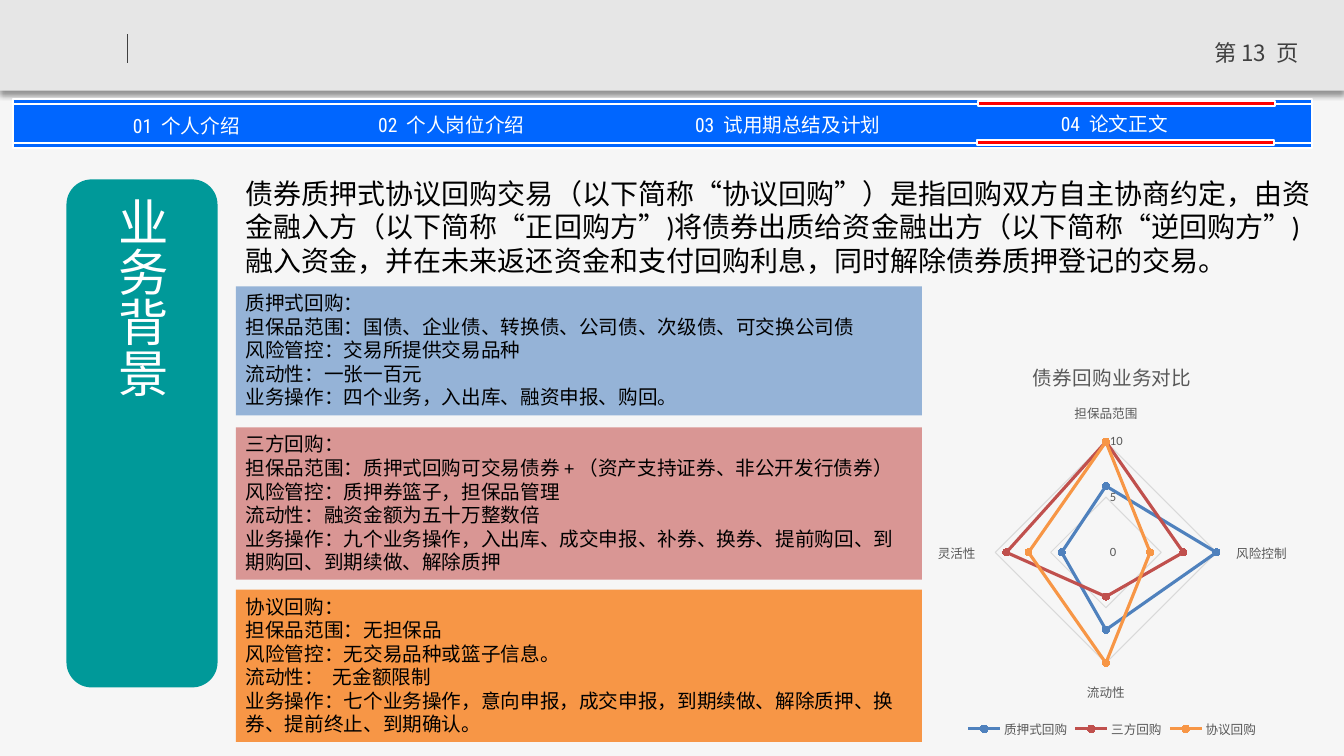
import pptx
import pptx.util
import pptx.dml.color
import pptx.chart.data
import pptx.enum.chart
import pptx.enum.shapes
import pptx.enum.text
import pptx.oxml
import pptx.oxml.ns

PX = 9144  # 100 px to the inch
SHAPE = pptx.enum.shapes.MSO_SHAPE
ALIGN = pptx.enum.text.PP_ALIGN
MIDDLE = pptx.enum.text.MSO_ANCHOR.MIDDLE
Pt = pptx.util.Pt
color = pptx.dml.color.RGBColor.from_string

deck = pptx.Presentation()
deck.slide_width, deck.slide_height = 1334 * PX, 750 * PX
slide = deck.slides.add_slide(deck.slide_layouts[6])
slide.background.fill.solid()
slide.background.fill.fore_color.rgb = color("F6F6F6")


def block(kind, area, fill, edge=None):
    shape = slide.shapes.add_shape(kind, *[n * PX for n in area])
    shape.shadow.inherit = False
    shape.fill.solid()
    shape.fill.fore_color.rgb = color(fill)
    if edge:
        shape.line.color.rgb = color(edge)
        shape.line.width = Pt(1.5)
    else:
        shape.line.fill.background()
    return shape


def write(shape, lines, size, ink, font="Calibri", align=ALIGN.LEFT):
    frame = shape.text_frame
    frame.word_wrap = True
    frame.text = "\n".join(lines)
    for para in frame.paragraphs:
        para.alignment = align
        para.font.size = Pt(size)
        para.font.name = font
        para.font.color.rgb = color(ink)
    return frame


# Header band with a soft shadow
band = block(SHAPE.RECTANGLE, (0, 0, 1334, 90), "E6E6E6")
glow = pptx.oxml.parse_xml(
    '<a:outerShdw xmlns:a="http://schemas.openxmlformats.org/drawingml/2006/main" '
    'blurRad="50800" dist="38100" dir="5400000" algn="t" rotWithShape="0">'
    '<a:srgbClr val="000000"><a:alpha val="40000"/></a:srgbClr></a:outerShdw>')
band._element.spPr.find(pptx.oxml.ns.qn("a:effectLst")).append(glow)

rule = slide.shapes.add_connector(
    pptx.enum.shapes.MSO_CONNECTOR.STRAIGHT, 127 * PX, 34 * PX, 127 * PX, 63 * PX)
rule.line.color.rgb = color("404040")
rule.line.width = Pt(0.75)
rule._element.spPr.append(pptx.oxml.parse_xml(
    '<a:effectLst xmlns:a="http://schemas.openxmlformats.org/drawingml/2006/main"/>'))

page = slide.shapes.add_textbox(1187 * PX, 34 * PX, 120 * PX, 40 * PX)
write(page, ["第 13  页"], 16, "404040", "Noto Sans CJK SC", ALIGN.CENTER)

# Navigation bar
for top, high in ((103, 43), (142, 5), (98, 5)):
    block(SHAPE.RECTANGLE, (13, top, 1289, high), "0066FF", "FFFFFF")
tabs = [
    (61, 113, "01  个人介绍"),
    (324, 112, "02  个人岗位介绍"),
    (658, 112, "03  试用期总结及计划"),
    (982, 111, "04  论文正文"),
]
for left, top, label in tabs:
    tab = slide.shapes.add_textbox(left * PX, top * PX, 248 * PX, 24 * PX)
    frame = write(tab, [label], 14, "FFFFFF", "Roboto Condensed", ALIGN.CENTER)
    frame.vertical_anchor = MIDDLE
    frame.margin_left = frame.margin_right = 0
    frame.margin_top = frame.margin_bottom = 0

# Red marks on the current tab
for left, top in ((971, 100), (970, 139)):
    block(SHAPE.RECTANGLE, (left, top, 295, 5), "FF0000", "FFFFFF")

# Vertical heading
head = block(SHAPE.ROUNDED_RECTANGLE, (66, 178, 150, 504), "009999")
frame = write(head, ["业务背景"], 36, "FFFFFF")
frame.vertical_anchor = MIDDLE
frame._txBody.bodyPr.set("vert", "eaVert")

# Definition
intro = slide.shapes.add_textbox(234 * PX, 170 * PX, 1079 * PX, 111 * PX)
write(intro, [
    "债券质押式协议回购交易（以下简称“协议回购”）是指回购双方自主协商约定，"
    "由资金融入方（以下简称“正回购方”)将债券出质给资金融出方（以下简称“逆回购方”)"
    "融入资金，并在未来返还资金和支付回购利息，同时解除债券质押登记的交易。"], 20, "000000")

# Radar chart, partly behind the cards
data = pptx.chart.data.CategoryChartData()
data.categories = ["担保品范围", "风险控制", "流动性", "灵活性"]
data.add_series("质押式回购", (6, 10, 7, 4))
data.add_series("三方回购", (10, 7, 4, 9))
data.add_series("协议回购", (10, 4, 10, 7))
chart = slide.shapes.add_chart(
    pptx.enum.chart.XL_CHART_TYPE.RADAR_MARKERS,
    793 * PX, 340 * PX, 622 * PX, 396 * PX, data).chart
chart.font.name = "Calibri"
chart.font.size = Pt(9)
chart.font.color.rgb = color("595959")
chart.has_title = True
chart.chart_title.text_frame.text = "债券回购业务对比"
title = chart.chart_title.text_frame.paragraphs[0].font
title.size, title.bold = Pt(14), False
title.color.rgb = color("595959")
chart.has_legend = True
chart.legend.position = pptx.enum.chart.XL_LEGEND_POSITION.BOTTOM
chart.legend.include_in_layout = False

scale = chart.value_axis
scale.minimum_scale, scale.maximum_scale, scale.major_unit = 0, 10, 5
for axis in (chart.category_axis, scale):
    axis.major_tick_mark = pptx.enum.chart.XL_TICK_MARK.NONE
    axis.has_major_gridlines = True
    grid = axis.major_gridlines.format.line
    grid.color.rgb = color("D9D9D9")
    grid.width = Pt(0.75)
chart.category_axis.format.line.color.rgb = color("D9D9D9")
scale.format.line.fill.background()

for series, tone in zip(chart.plots[0].series, ("4F81BD", "C0504D", "F79646")):
    series.smooth = False
    series.format.line.color.rgb = color(tone)
    series.format.line.width = Pt(2.25)
    mark = series.marker
    mark.style = pptx.enum.chart.XL_MARKER_STYLE.CIRCLE
    mark.size = 5
    mark.format.fill.solid()
    mark.format.fill.fore_color.rgb = color(tone)
    mark.format.line.color.rgb = color(tone)

# Cards for the three kinds of repo
cards = [
    (284, 128, "95B3D7", [
        "质押式回购：",
        "担保品范围：国债、企业债、转换债、公司债、次级债、可交换公司债",
        "风险管控：交易所提供交易品种",
        "流动性：一张一百元",
        "业务操作：四个业务，入出库、融资申报、购回。"]),
    (424, 151, "D99694", [
        "三方回购：",
        "担保品范围：质押式回购可交易债券 + （资产支持证券、非公开发行债券）",
        "风险管控：质押券篮子，担保品管理",
        "流动性：融资金额为五十万整数倍",
        "业务操作：九个业务操作，入出库、成交申报、补券、换券、提前购回、"
        "到期购回、到期续做、解除质押"]),
    (585, 151, "F79646", [
        "协议回购：",
        "担保品范围：无担保品",
        "风险管控：无交易品种或篮子信息。",
        "流动性：  无金额限制",
        "业务操作：七个业务操作，意向申报，成交申报，到期续做、解除质押、"
        "换券、提前终止、到期确认。"]),
]
for top, high, fill, lines in cards:
    card = block(SHAPE.RECTANGLE, (234, top, 681, high), fill)
    write(card, lines, 14, "000000").vertical_anchor = pptx.enum.text.MSO_ANCHOR.TOP

deck.save("out.pptx")
